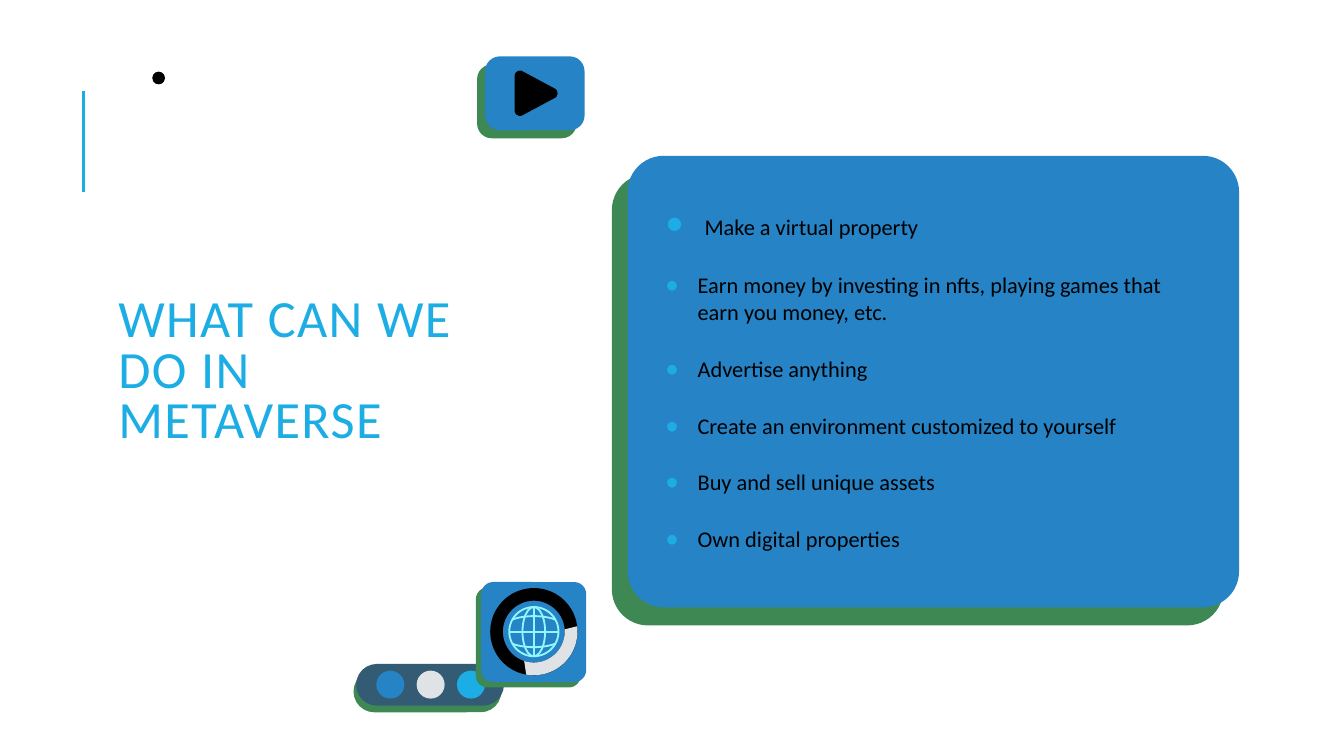
from math import cos, radians, sin

from lxml.etree import SubElement
from pptx import Presentation
from pptx.dml.color import RGBColor
from pptx.enum.shapes import MSO_CONNECTOR as Connector, MSO_SHAPE as Shape
from pptx.enum.text import MSO_ANCHOR as Anchor, MSO_AUTO_SIZE as AutoSize, PP_ALIGN as Align
from pptx.oxml.ns import qn
from pptx.util import Pt

BLUE, GREEN, SKY = "2683C6", "3E8853", "1CADE4"
BLACK, GREY, SLATE, CYAN = "000000", "DFE3E5", "335B74", "92F7FF"
FONT = "Calibri"
TITLE = "WHAT CAN WE DO IN METAVERSE"
IDEAS = [
    "Make a virtual property",
    "Earn money by investing in nfts, playing games that earn you money, etc.",
    "Advertise anything",
    "Create an environment customized to yourself",
    "Buy and sell unique assets",
    "Own digital properties",
]


def color(value):
    return RGBColor.from_string(value)


def paint(shape, fill=None, line=None, width=1):
    shape.shadow.inherit = False
    if fill:
        shape.fill.solid()
        shape.fill.fore_color.rgb = color(fill)
    else:
        shape.fill.background()
    if line:
        shape.line.color.rgb = color(line)
        shape.line.width = Pt(width)
    else:
        shape.line.fill.background()
    return shape


def add_preset(shapes, kind, left, top, width, height, fill, adjust=None):
    shape = shapes.add_shape(kind, Pt(left), Pt(top), Pt(width), Pt(height))
    if adjust is not None:
        shape.adjustments[0] = adjust
    return paint(shape, fill)


def add_circle(shapes, x, y, radius, fill=None, line=None, squeeze=1):
    """Ellipse around (x, y); squeeze scales its width."""
    half = radius * squeeze
    oval = add_preset(shapes, Shape.OVAL, x - half, y - radius, 2 * half, 2 * radius, fill)
    return paint(oval, fill, line)


def add_stacked_card(shapes, left, top, width, height, fill, adjust, shift_x, shift_y):
    """Rounded card over a green one shifted by (shift_x, shift_y)."""
    for x, y, tone in ((left + shift_x, top + shift_y, GREEN), (left, top, fill)):
        add_preset(shapes, Shape.ROUNDED_RECTANGLE, x, y, width, height, tone, adjust)


def arc_points(x, y, radius_x, radius_y, start, end, steps=24):
    angles = [radians(start + (end - start) * i / steps) for i in range(steps + 1)]
    return [(Pt(x + radius_x * cos(a)), Pt(y + radius_y * sin(a))) for a in angles]


def add_outline(shapes, points, fill=None, line=None):
    builder = shapes.build_freeform(*points[0], scale=1.0)
    builder.add_line_segments(points[1:], close=fill is not None)
    return paint(builder.convert_to_shape(), fill, line)


def add_line(shapes, x1, y1, x2, y2, tone, width):
    line = shapes.add_connector(Connector.STRAIGHT, Pt(x1), Pt(y1), Pt(x2), Pt(y2))
    line.line.color.rgb = color(tone)
    line.line.width = Pt(width)
    SubElement(line._element.spPr, qn("a:effectLst"))


def add_panel(shapes):
    panel = add_preset(shapes, Shape.ROUNDED_RECTANGLE, 336.2, 83.5, 327.6, 241.9, BLUE, 0.08)
    effects = panel._element.spPr.find(qn("a:effectLst"))
    shadow = SubElement(effects, qn("a:outerShdw"), blurRad="0", dist=str(Pt(12.8)),
                        dir=str(131 * 60000), algn="bl", rotWithShape="0")
    SubElement(shadow, qn("a:srgbClr"), val=GREEN)


def place(box, left, top, width, height, anchor):
    box.left, box.top, box.width, box.height = Pt(left), Pt(top), Pt(width), Pt(height)
    frame = box.text_frame
    frame.word_wrap = True
    frame.auto_size = AutoSize.NONE
    frame.vertical_anchor = anchor
    frame.margin_left = frame.margin_right = Pt(7.2)
    frame.margin_top = frame.margin_bottom = Pt(7.2)
    return frame


def style(span, size, tone):
    span.font.name = FONT
    span.font.size = Pt(size)
    span.font.color.rgb = color(tone)


def fill_title(box):
    frame = place(box, 56.2, 158.4, 216.7, 82.8, Anchor.MIDDLE)
    frame.text = TITLE
    para = frame.paragraphs[0]
    para.alignment = Align.LEFT
    para.line_spacing = 0.8
    span = para.runs[0]
    style(span, 28, SKY)
    span.font._element.set("spc", "80")


def add_bullet(para):
    props = para._p.get_or_add_pPr()
    props.set("marL", str(Pt(18.7)))
    props.set("indent", str(Pt(-17.3)))
    tone = SubElement(props, qn("a:buClr"))
    SubElement(tone, qn("a:srgbClr"), val=SKY)
    SubElement(props, qn("a:buChar"), char="●")


def fill_ideas(box):
    frame = place(box, 347.8, 102.5, 303.8, 209.2, Anchor.TOP)
    for i, idea in enumerate(IDEAS):
        para = frame.add_paragraph() if i else frame.paragraphs[0]
        para.alignment = Align.LEFT
        para.space_before = Pt(16 if i else 0)
        add_bullet(para)
        # The first item opens with a larger space, which enlarges its bullet.
        parts = [(idea, 12)] if i else [(" ", 16.5), (idea, 12)]
        for text, size in parts:
            span = para.add_run()
            span.text = text
            style(span, size, BLACK)


def add_dots_pill(shapes):
    add_stacked_card(shapes, 190.8, 355.7, 79.2, 22.3, SLATE, 0.5, -1.4, 3.6)
    for i, tone in enumerate((BLUE, GREY, SKY)):
        add_circle(shapes, 209.1 + 21.6 * i, 366.8, 7.5, tone)


def add_globe(shapes, x, y, radius):
    for squeeze in (1, 0.46):
        add_circle(shapes, x, y, radius, line=CYAN, squeeze=squeeze)
    add_line(shapes, x - radius, y, x + radius, y, CYAN, 1)
    add_line(shapes, x, y - radius, x, y + radius, CYAN, 1)
    for side in (-1, 1):
        latitude = arc_points(x, y + side * 2.3, 16, 6, side * 44, side * 136)
        add_outline(shapes, latitude, line=CYAN)


def add_globe_card(shapes):
    x, y, outer, inner = 286, 338.4, 23.4, 16.6
    add_stacked_card(shapes, 257.8, 311.8, 56.2, 53.6, BLUE, 0.12, -2.9, 2.9)
    add_preset(shapes, Shape.DONUT, x - outer, y - outer, 2 * outer, 2 * outer,
               BLACK, (outer - inner) / (2 * outer))
    progress = arc_points(x, y, outer, outer, -7, 100) + arc_points(x, y, inner, inner, 108, -4)
    add_outline(shapes, progress, GREY)
    add_globe(shapes, x, y, 13.2)


def add_play_card(shapes):
    add_stacked_card(shapes, 259.9, 30.2, 53.3, 39.6, BLUE, 0.2, -4.3, 4.3)
    corners = ((295.8, 50, -60), (278.6, 59.2, 60), (278.6, 40.8, 180))
    points = []
    for x, y, start in corners:
        points += arc_points(x, y, 2.9, 2.9, start, start + 120)
    add_outline(shapes, points, BLACK)


def main():
    deck = Presentation()
    deck.slide_width, deck.slide_height = Pt(720), Pt(405)
    page = deck.slides.add_slide(deck.slide_layouts[1])
    shapes = page.shapes
    title, body = page.placeholders
    add_line(shapes, 44.9, 103, 44.9, 49, SKY, 1.5)
    add_panel(shapes)
    for box in (body, title):
        shapes._spTree.append(box._element)
    fill_ideas(body)
    fill_title(title)
    add_circle(shapes, 85, 41.8, 3.4, BLACK)
    for add_icon in (add_dots_pill, add_globe_card, add_play_card):
        add_icon(shapes.add_group_shape().shapes)
    deck.save("out.pptx")


if __name__ == "__main__":
    main()
